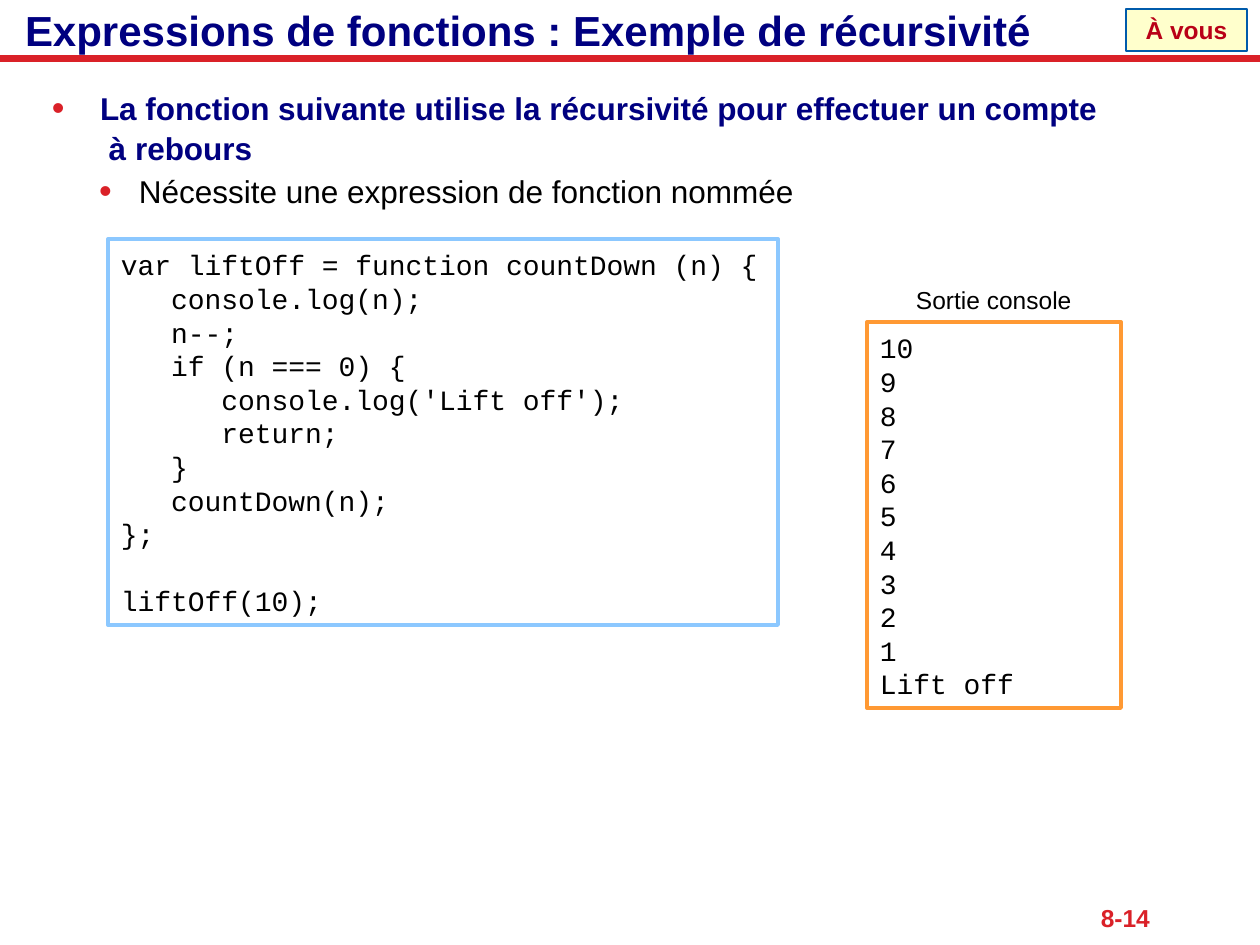
from lxml import etree
from pptx import Presentation
from pptx.dml.color import RGBColor
from pptx.enum.shapes import MSO_CONNECTOR, MSO_SHAPE
from pptx.enum.text import MSO_ANCHOR, MSO_AUTO_SIZE, PP_ALIGN
from pptx.oxml.ns import qn
from pptx.util import Emu, Pt

LEFT, CENTER, RIGHT = PP_ALIGN.LEFT, PP_ALIGN.CENTER, PP_ALIGN.RIGHT
TOP, MIDDLE, BOTTOM = MSO_ANCHOR.TOP, MSO_ANCHOR.MIDDLE, MSO_ANCHOR.BOTTOM
EMU_PER_PIXEL = 914400 / 126
WIDTH, HEIGHT = 1260, 945
SANS, MONO = "Arial", "Courier New"
NAVY, RED, BLACK = "000080", "DA2128", "000000"
CODE_LINE = 19.2

TITLE = "Expressions de fonctions : Exemple de récursivité"
# text, level, left margin, hanging indent, space before, colour, bold
BULLETS = [
    ("La fonction suivante utilise la récursivité pour effectuer un compte\v à rebours",
     0, 48, 48, 0, NAVY, True),
    ("Nécessite une expression de fonction nommée", 1, 87, 40, 2, BLACK, False),
]
CODE = [
    "var liftOff = function countDown (n) {",
    "   console.log(n);",
    "   n--;",
    "   if (n === 0) {",
    "      console.log('Lift off');",
    "      return;",
    "   }",
    "   countDown(n);",
    "};",
]
CALL = "liftOff(10);"
OUTPUT = [str(count) for count in range(10, 0, -1)] + ["Lift off"]


def px(value):
    """Convert pixels to EMU."""
    return Emu(round(value * EMU_PER_PIXEL))


def color(value):
    """Turn a hex string into a colour."""
    return RGBColor.from_string(value)


def place(shape, left, top, width, height):
    """Move and size a shape."""
    shape.left, shape.top = px(left), px(top)
    shape.width, shape.height = px(width), px(height)


def set_frame(shape, anchor=TOP, insets=(13, 6, 13, 6), wrap=True):
    """Set anchor, insets and wrapping, and return the text frame."""
    frame = shape.text_frame
    frame.auto_size = MSO_AUTO_SIZE.NONE
    frame.word_wrap = wrap
    frame.vertical_anchor = anchor
    (frame.margin_left, frame.margin_top,
     frame.margin_right, frame.margin_bottom) = map(px, insets)
    return frame


def write(frame, lines, size, font, hex_color, bold=False, align=LEFT):
    """Write one paragraph per line and return the paragraphs."""
    frame.text = "\n".join(lines)
    for paragraph in frame.paragraphs:
        paragraph.alignment = align
        paragraph.font.size, paragraph.font.name = Pt(size), font
        paragraph.font.bold = bold
        paragraph.font.color.rgb = color(hex_color)
    return frame.paragraphs


def add_box(slide, bounds, line, line_width, fill=None):
    """Add an outlined rectangle."""
    shape = slide.shapes.add_shape(MSO_SHAPE.RECTANGLE, *map(px, bounds))
    shape.shadow.inherit = False
    shape.line.color.rgb = color(line)
    shape.line.width = Pt(line_width)
    if fill:
        shape.fill.solid()
        shape.fill.fore_color.rgb = color(fill)
    else:
        shape.fill.background()
    return shape


def add_listing(slide, bounds, lines, line, fill=None):
    """Add a framed block of monospaced lines."""
    shape = add_box(slide, bounds, line, 2.25, fill)
    frame = set_frame(shape, insets=(13, 9, 13, 3), wrap=False)
    paragraphs = write(frame, lines, 16, MONO, BLACK)
    for paragraph in paragraphs:
        paragraph.line_spacing = Pt(CODE_LINE)
    return paragraphs


def add_label(slide, bounds, text, size, hex_color, **style):
    """Add a one-line text box."""
    shape = slide.shapes.add_textbox(*map(px, bounds))
    write(set_frame(shape, MIDDLE, wrap=False), [text], size, SANS, hex_color, **style)


def set_bullet(paragraph, margin, hanging):
    """Give a paragraph a red bullet and a hanging indent."""
    properties = paragraph._p.get_or_add_pPr()
    properties.set("marL", str(px(margin)))
    properties.set("indent", str(-px(hanging)))
    bullet_color = etree.SubElement(properties, qn("a:buClr"))
    etree.SubElement(bullet_color, qn("a:srgbClr"), val=RED)
    etree.SubElement(properties, qn("a:buSzPct"), val="115000")
    etree.SubElement(properties, qn("a:buFont"), typeface=SANS)
    etree.SubElement(properties, qn("a:buChar"), char="•")


def fill_bullets(frame):
    """Write the bullet list."""
    for index, (text, level, margin, hanging, before, hex_color, bold) in enumerate(BULLETS):
        paragraph = frame.paragraphs[0] if index == 0 else frame.add_paragraph()
        paragraph.text = text
        paragraph.level = level
        paragraph.alignment = LEFT
        paragraph.line_spacing = 1.05
        paragraph.space_before = Pt(before)
        set_bullet(paragraph, margin, hanging)
        paragraph.font.size, paragraph.font.name = Pt(18), SANS
        paragraph.font.bold = bold
        paragraph.font.color.rgb = color(hex_color)


def main():
    """Build the slide and save it."""
    presentation = Presentation()
    presentation.slide_width, presentation.slide_height = px(WIDTH), px(HEIGHT)
    slide = presentation.slides.add_slide(presentation.slide_layouts[1])
    title, body = slide.placeholders

    rule = slide.shapes.add_connector(
        MSO_CONNECTOR.STRAIGHT, px(0), px(59), px(WIDTH), px(59))
    rule.line.color.rgb = color(RED)
    rule.line.width = Pt(4)
    etree.SubElement(rule._element.spPr, qn("a:effectLst"))

    place(title, 0, 0, WIDTH, 55)
    write(set_frame(title, BOTTOM, (25, 0, 13, 0)), [TITLE], 24, SANS, NAVY, bold=True)
    place(body, 39, 81, 1184, 548)
    fill_bullets(set_frame(body))

    badge = add_box(slide, (1126, 9, 121, 42), "005BAB", 1, "FFFFCC")
    write(set_frame(badge, MIDDLE), ["À vous"], 14, SANS, "B90117", bold=True, align=CENTER)

    code = add_listing(slide, (108, 239, 670, 386), CODE + [CALL], "8CC8FF")
    code[-1].space_before = Pt(CODE_LINE)
    add_listing(slide, (867, 322, 254, 386), OUTPUT, "FF9933", "FFFFFF")
    add_label(slide, (903, 278, 181, 43), "Sortie console", 14, BLACK)
    add_label(slide, (989, 896, 174, 43), "8-14", 14, RED, bold=True, align=RIGHT)
    presentation.save("out.pptx")


main()
